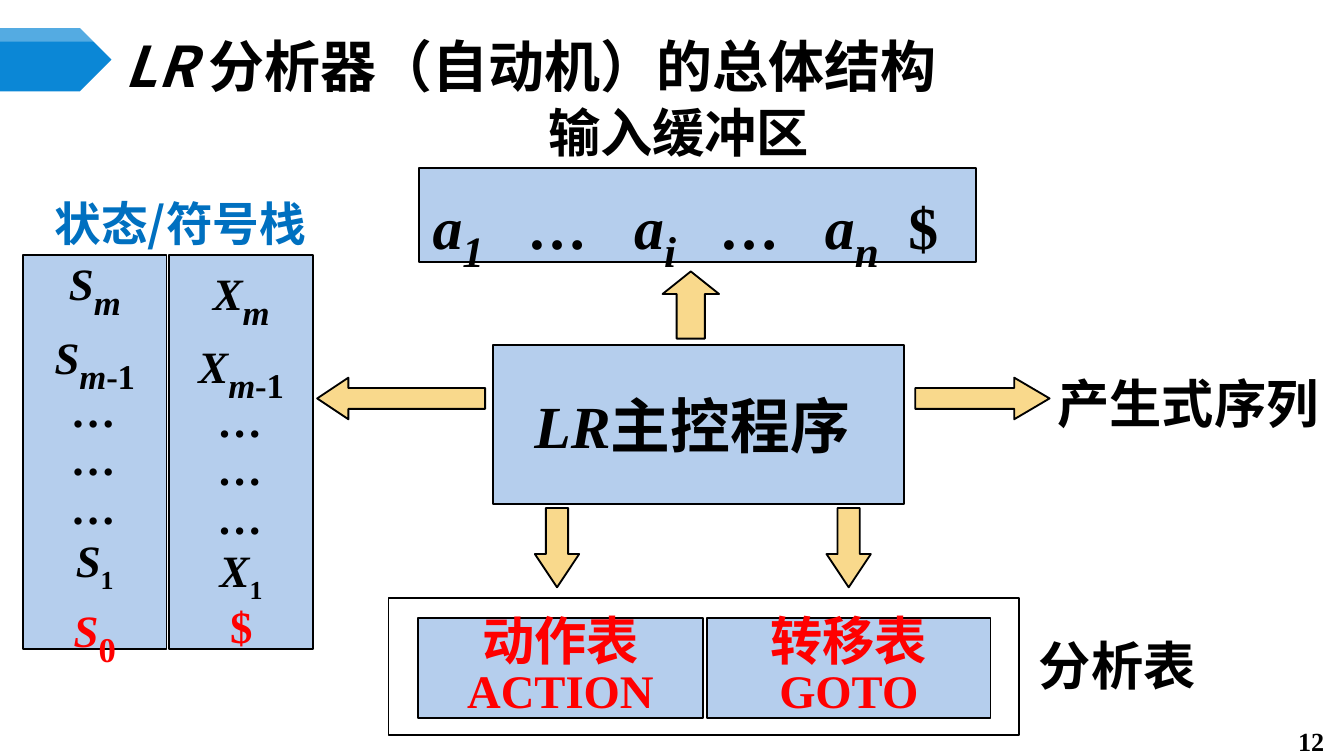
from lxml import etree
from pptx import Presentation
from pptx.dml.color import RGBColor
from pptx.enum.shapes import MSO_SHAPE
from pptx.enum.text import MSO_ANCHOR, MSO_AUTO_SIZE, PP_ALIGN
from pptx.oxml.ns import qn
from pptx.util import Pt

RECT, PLATE = MSO_SHAPE.RECTANGLE, MSO_SHAPE.PENTAGON
UP, DOWN = MSO_SHAPE.UP_ARROW, MSO_SHAPE.DOWN_ARROW
LEFT, RIGHT = MSO_SHAPE.LEFT_ARROW, MSO_SHAPE.RIGHT_ARROW
TOP, MIDDLE = MSO_ANCHOR.TOP, MSO_ANCHOR.MIDDLE
START, CENTER = PP_ALIGN.LEFT, PP_ALIGN.CENTER
FIXED = MSO_AUTO_SIZE.NONE

PX = 9144
SANS, SERIF = "Noto Sans CJK SC", "Times New Roman"
BLACK, RED, BLUE = "000000", "FF0000", "0070C0"
PALE, GOLD, PLAIN = "B5CEED", "F9D98C", "FFFFFF"

TITLE = [("LR ", {"italic": True}), ("分析器（自动机）的总体结构", {})]
LABELS = [
    ("产生式序列", (776, 271, 216, 57), 28, SANS, BLACK, CENTER, 10),
    ("状态/符号栈", (31, 140, 233, 52), 25, SANS, BLUE, START, 10),
    ("输入缓冲区", (398, 70, 242, 57), 28, SANS, BLACK, START, 10),
    ("分析表", (773, 466, 163, 57), 28, SANS, BLACK, START, 0),
    ("12", (956, 535, 46, 20), 14, SERIF, BLACK, START, 10),
]
INPUT = [("a", "1"), ("…", ""), ("a", "i"), ("…", ""), ("a", "n"), ("$", "")]
STOPS = [72, 150, 215, 292, 354]
TABLES = [("动作表", "ACTION", 311, 212), ("转移表", "GOTO", 526, 211)]
STACKS = [("S", 17), ("X", 126)]
ARROWS = [
    (LEFT, (236, 281, 125, 31), 0.75),
    (UP, (493, 202, 42, 50), 0.4),
    (DOWN, (398, 378, 33, 59), 0.75),
    (RIGHT, (681, 281, 100, 31), 0.85),
    (DOWN, (615, 378, 33, 59), 0.75),
]


def tint(code):
    return RGBColor.from_string(code)


def emu(box):
    return [v * PX for v in box]


def shape(kind, box, fill=None, edge=BLACK):
    item = slide.shapes.add_shape(kind, *emu(box))
    paint(item, fill, edge)
    return item


def paint(item, fill, edge):
    item.shadow.inherit = False
    if fill:
        item.fill.solid()
        item.fill.fore_color.rgb = tint(fill)
    else:
        item.fill.background()
    if edge:
        item.line.color.rgb = tint(edge)
        item.line.width = Pt(1)
    else:
        item.line.fill.background()


def setup(item, anchor=TOP, wrap=True, inset=10):
    frame = item.text_frame
    form = {"auto_size": FIXED, "word_wrap": wrap, "vertical_anchor": anchor,
            "margin_left": inset * PX, "margin_right": 10 * PX,
            "margin_top": 5 * PX, "margin_bottom": 5 * PX}
    for key, val in form.items():
        setattr(frame, key, val)
    return frame


def write(para, text, size, face=SERIF, color=BLACK, italic=False, sub=False):
    run = para.add_run()
    run.text = text
    form = {"size": Pt(size), "name": face, "bold": True, "italic": italic}
    for key, val in form.items():
        setattr(run.font, key, val)
    run.font.color.rgb = tint(color)
    props = run.font._element
    etree.SubElement(props, qn("a:ea")).set("typeface", face)
    if sub:
        props.set("baseline", "-25000")


def fill_text(frame, rows, align=CENTER, gap=None):
    for num, row in enumerate(rows):
        para = frame.add_paragraph() if num else frame.paragraphs[0]
        para.alignment = align
        if gap:
            para.line_spacing = gap
        for text, form in row:
            write(para, text, **form)


deck = Presentation()
deck.slide_width = 1000 * PX
deck.slide_height = deck.slide_width * 9 // 16
slide = deck.slides.add_slide(deck.slide_layouts[5])

shape(PLATE, (0, 21, 83, 47), "0B87D6", None)
pen = slide.shapes.build_freeform(0, 21, scale=PX)
pen.add_line_segments([(60, 21), (70, 31), (0, 31)], close=True)
strip = pen.convert_to_shape()
paint(strip, PLAIN, None)
tone = strip._element.spPr.find(qn("a:solidFill"))[0]
etree.SubElement(tone, qn("a:alpha")).set("val", "30000")

title = slide.shapes.title
title.left, title.top, title.width, title.height = emu((83, 29, 867, 39))
head = [(text, {"size": 30, "face": SANS, **form}) for text, form in TITLE]
fill_text(setup(title, MIDDLE), [head], START)

frame = setup(shape(RECT, (312, 125, 414, 70), PALE))
para = frame.paragraphs[0]
para.alignment = START
tabs = etree.SubElement(para._p.get_or_add_pPr(), qn("a:tabLst"))
for stop in STOPS:
    tab = etree.SubElement(tabs, qn("a:tab"))
    tab.set("pos", str(stop * PX))
    tab.set("algn", "l")
for num, (name, mark) in enumerate(INPUT):
    lead = "\t" if num else ""
    write(para, lead + name, 32, italic=name != "$")
    if mark:
        write(para, mark, 40, italic=True, sub=True)

frame = setup(shape(RECT, (367, 257, 306, 118), PALE), MIDDLE, False, 0)
fill_text(frame, [[("LR", {"size": 32, "italic": True}),
                   ("主控程序", {"size": 32, "face": SANS})]])

shape(RECT, (289, 445, 469, 102))
for name, code, left, width in TABLES:
    frame = setup(shape(RECT, (left, 460, width, 74), PALE), wrap=False)
    rows = [[(name, {"size": 28, "face": SANS, "color": RED})],
            [(code, {"size": 25, "color": RED})]]
    fill_text(frame, rows, gap=Pt(25))

for name, left in STACKS:
    frame = setup(shape(RECT, (left, 190, 107, 293), PALE), MIDDLE, False)
    main = {"size": 24, "italic": True}
    low = {"size": 32, "sub": True}
    var = (name, main)
    sub = ("m", {**low, "italic": True})
    dots = [[("…", main)]] * 3
    if name == "S":
        base = [(name, {**main, "color": RED}), ("0", {**low, "color": RED})]
    else:
        base = [("$", {"size": 24, "italic": False, "color": RED})]
    rows = [[var, sub], [var, sub, ("-1", low)], *dots,
            [var, ("1", {**low, "size": 24})], base]
    fill_text(frame, rows, gap=0.9)
    if name == "X":
        frame.paragraphs[-1].line_spacing = 1.0

for text, box, size, face, color, align, inset in LABELS:
    frame = setup(slide.shapes.add_textbox(*emu(box)), inset=inset)
    form = {"size": size, "face": face, "color": color}
    fill_text(frame, [[(text, form)]], align)

for kind, box, tip in ARROWS:
    arrow = shape(kind, box, GOLD)
    arrow.adjustments[0], arrow.adjustments[1] = 0.5, tip

deck.save("out.pptx")
